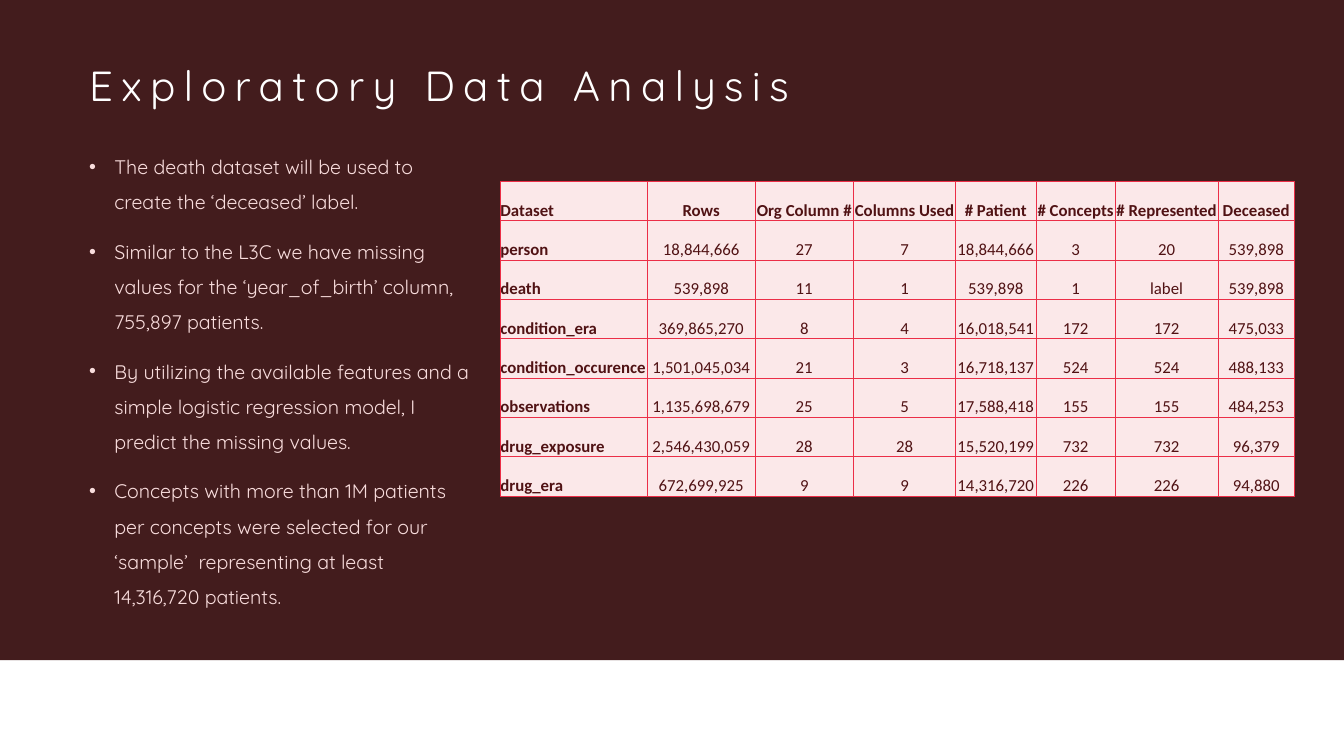
from lxml import etree
from pptx import Presentation
from pptx import util as u
from pptx.dml.color import RGBColor
from pptx.enum import shapes, text
from pptx.oxml.ns import qn

COLORS = {
    "band": "431C1D", "title": "FFFFFF", "body": "F9DDDD",
    "cell": "FBE8E9", "cell_text": "501214", "border": "EB2E47",
}
BULLETS = [
    "The death dataset will be used to create the ‘deceased’ label.",
    "Similar to the L3C we have missing values for the ‘year_of_birth’ column, 755,897 patients.",
    "By utilizing the available features and a simple logistic regression model, I predict the missing values.",
    "Concepts with more than 1M patients per concepts were selected for our ‘sample’\u00a0 representing at least 14,316,720 patients.".replace("\u00a0", " "),
]
DATASETS = [
    ["Dataset", "Rows", "Org Column #", "Columns Used", "# Patient", "# Concepts", "# Represented", "Deceased"],
    ["person", "18,844,666", "27", "7", "18,844,666", "3", "20", "539,898"],
    ["death", "539,898", "11", "1", "539,898", "1", "label", "539,898"],
    ["condition_era", "369,865,270", "8", "4", "16,018,541", "172", "172", "475,033"],
    ["condition_occurence", "1,501,045,034", "21", "3", "16,718,137", "524", "524", "488,133"],
    ["observations", "1,135,698,679", "25", "5", "17,588,418", "155", "155", "484,253"],
    ["drug_exposure", "2,546,430,059", "28", "28", "15,520,199", "732", "732", "96,379"],
    ["drug_era", "672,699,925", "9", "9", "14,316,720", "226", "226", "94,880"],
]
COLUMN_WIDTHS = [2.92, 2.13, 1.96, 2.02, 1.6, 1.57, 2.04, 1.52]
ROW_HEIGHT = 0.78
MARGIN = 1.67


def place(box, left, top, width, height):
    box.left, box.top = u.Inches(left), u.Inches(top)
    box.width, box.height = u.Inches(width), u.Inches(height)
    box.text_frame.word_wrap = True
    box.text_frame.auto_size = text.MSO_AUTO_SIZE.NONE
    box.text_frame.vertical_anchor = text.MSO_ANCHOR.TOP


def add_span(para, words, face, size, color, bold=False):
    span = para.add_run()
    span.text = words
    span.font.name = face
    span.font.size = u.Pt(size)
    span.font.bold = bold
    span.font.color.rgb = RGBColor.from_string(COLORS[color])
    return span


deck = Presentation()
deck.slide_width, deck.slide_height = u.Inches(26.67), u.Inches(15)
page = deck.slides.add_slide(deck.slide_layouts[1])
title, body = page.placeholders

band = page.shapes.add_shape(shapes.MSO_SHAPE.RECTANGLE, 0, 0, deck.slide_width, u.Inches(13.1))
band.shadow.inherit = False
band.fill.solid()
band.fill.fore_color.rgb = RGBColor.from_string(COLORS["band"])
band.line.fill.background()
title.element.addprevious(band.element)

place(title, MARGIN, 1.24, 23.89, 1.54)
para = title.text_frame.paragraphs[0]
para.alignment = text.PP_ALIGN.LEFT
para.line_spacing = 0.9
span = add_span(para, "Exploratory Data Analysis", "Quicksand", 60, "title")
span.font._element.set("spc", "1200")

place(body, MARGIN, 2.79, 7.83, 9.67)
for index, words in enumerate(BULLETS):
    para = body.text_frame.add_paragraph() if index else body.text_frame.paragraphs[0]
    properties = para._p.get_or_add_pPr()
    properties.set("marL", str(u.Inches(0.5)))
    properties.set("indent", str(-u.Inches(0.5)))
    etree.SubElement(properties, qn("a:buFont"), typeface="Arial")
    etree.SubElement(properties, qn("a:buChar"), char="•")
    para.line_spacing = 1.5
    para.space_before = u.Pt(20 if index else 0)
    add_span(para, words, "Quicksand", 28, "body")

table = page.shapes.add_table(
    len(DATASETS), len(COLUMN_WIDTHS), u.Inches(9.93), u.Inches(3.6),
    u.Inches(sum(COLUMN_WIDTHS)), u.Inches(ROW_HEIGHT * len(DATASETS)),
).table
for column, width in zip(table.columns, COLUMN_WIDTHS):
    column.width = u.Inches(width)

for row, values in enumerate(DATASETS):
    table.rows[row].height = u.Inches(ROW_HEIGHT)
    for column, value in enumerate(values):
        cell = table.cell(row, column)
        cell.margin_left = cell.margin_right = cell.margin_top = cell.margin_bottom = 0
        cell.vertical_anchor = text.MSO_ANCHOR.BOTTOM
        properties = cell._tc.get_or_add_tcPr()
        for side in ("a:lnL", "a:lnR", "a:lnT", "a:lnB"):
            border = etree.SubElement(properties, qn(side), w=str(u.Pt(1)))
            fill = etree.SubElement(border, qn("a:solidFill"))
            etree.SubElement(fill, qn("a:srgbClr"), val=COLORS["border"])
        cell.fill.solid()
        cell.fill.fore_color.rgb = RGBColor.from_string(COLORS["cell"])
        para = cell.text_frame.paragraphs[0]
        para.alignment = text.PP_ALIGN.CENTER if column else text.PP_ALIGN.LEFT
        add_span(para, value, "Calibri", 24, "cell_text", bold=row == 0 or column == 0)

deck.save("out.pptx")
